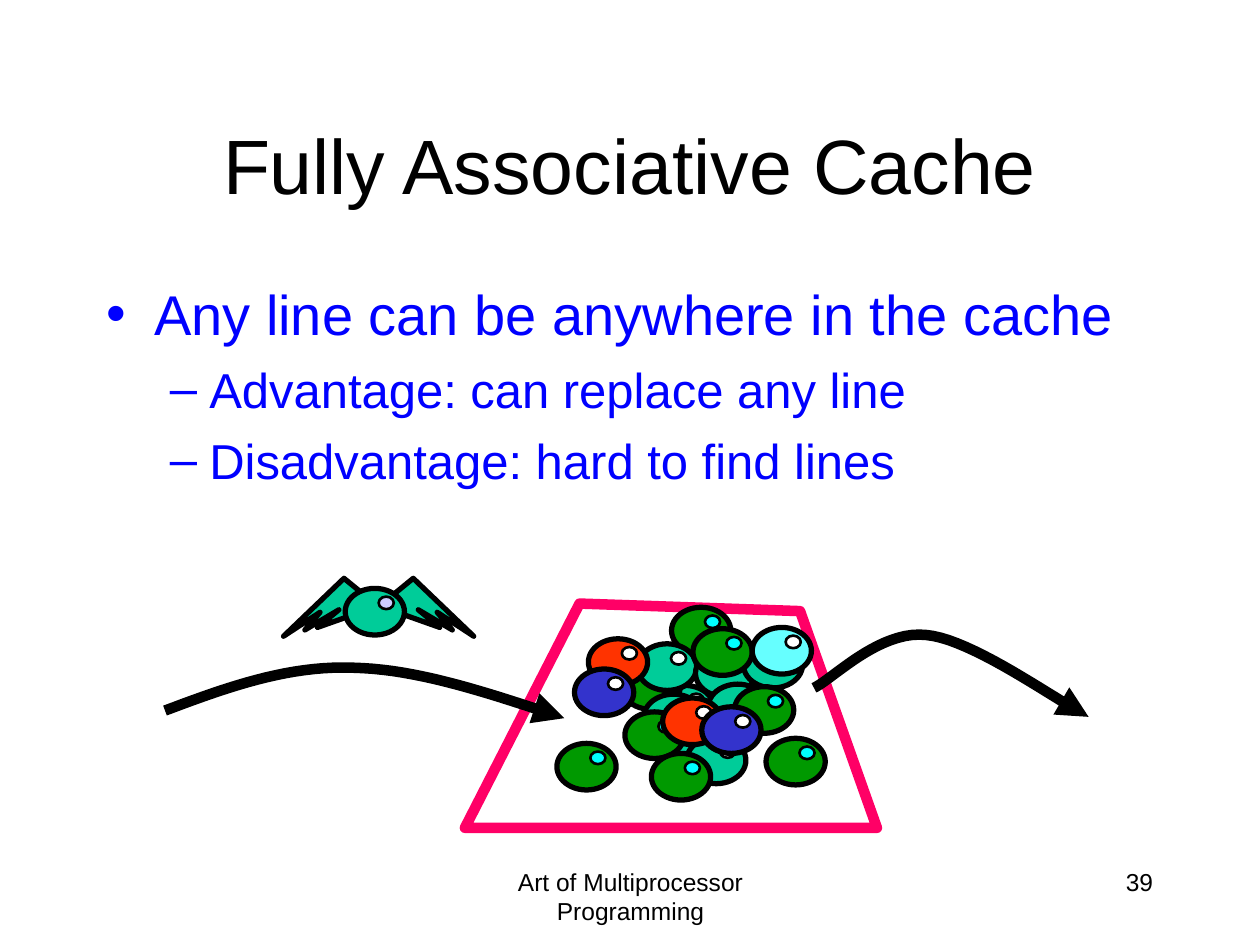
import pptx
import pptx.dml.color
import pptx.enum.shapes
import pptx.enum.text
import pptx.oxml.ns
import pptx.util
from lxml import etree

RGB = pptx.dml.color.RGBColor
BLACK = RGB(0x00, 0x00, 0x00)
WHITE = RGB(0xFF, 0xFF, 0xFF)
BLUE = RGB(0x00, 0x00, 0xFF)
PINK = RGB(0xFF, 0x00, 0x66)
GREEN = RGB(0x00, 0x99, 0x00)
TEAL = RGB(0x00, 0xCC, 0x99)
AQUA = RGB(0x00, 0xFF, 0xFF)
SKY = RGB(0x66, 0xFF, 0xFF)
RED = RGB(0xFF, 0x33, 0x00)
NAVY = RGB(0x33, 0x33, 0xCC)
LILAC = RGB(0xCC, 0xCC, 0xFF)

# The slide is a grid of 100 columns by 75 rows
CELL = 91440
COLS, ROWS = 100, 75
BALL = (4.7, 3.7)
EYE = (2.65, 0.65, 1.2, 1.0)
ALIGN = pptx.enum.text.PP_ALIGN


def grid(*vals):
    return [pptx.util.Emu(round(v * CELL)) for v in vals]


def node(parent, tag, **attrs):
    return etree.SubElement(parent, pptx.oxml.ns.qn("a:" + tag), attrs)


def paint(shape, fill, line, width):
    shape.shadow.inherit = False
    if fill is None:
        shape.fill.background()
    else:
        shape.fill.solid()
        shape.fill.fore_color.rgb = fill
    shape.line.color.rgb = line
    shape.line.width = pptx.util.Pt(width)


def outline(slide, box, points, fill, line, width, close=True):
    left, top = box[:2]
    dots = [grid(left + x, top + y) for x, y in points]
    path = slide.shapes.build_freeform(*dots[0])
    path.add_line_segments(dots[1:], close=close)
    shape = path.convert_to_shape()
    paint(shape, fill, line, width)
    node(shape.line._get_or_add_ln(), "round")
    return shape


def ball(slide, left, top, fill, eye):
    x, y, w, h = EYE
    parts = [((left, top, *BALL), fill, 3),
             ((left + x, top + y, w, h), eye, 1.5)]
    for box, color, width in parts:
        oval = slide.shapes.add_shape(
            pptx.enum.shapes.MSO_SHAPE.OVAL, *grid(*box))
        paint(oval, color, BLACK, width)


def text(slide, box, lines, size, color=BLACK, align=ALIGN.LEFT, middle=False):
    frame = slide.shapes.add_textbox(*grid(*box)).text_frame
    frame.word_wrap = True
    if middle:
        frame.vertical_anchor = pptx.enum.text.MSO_ANCHOR.MIDDLE
    look = {"name": "Arial", "size": pptx.util.Pt(size)}
    for i, line in enumerate(lines):
        para = frame.paragraphs[0] if i == 0 else frame.add_paragraph()
        para.alignment = align
        run = para.add_run()
        run.text = line
        for key, val in look.items():
            setattr(run.font, key, val)
        run.font.color.rgb = color
    return frame


def bullets(slide, box, items):
    # Level: text size, space before, left margin, hang, mark
    levels = [(32, 8, 3.75, 3.75, "•"), (28, 7, 8.13, 3.13, "–")]
    frame = text(slide, box, [line for line, _ in items], 32, BLUE)
    for para, (_, level) in zip(frame.paragraphs, items):
        size, gap, margin, hang, mark = levels[level]
        para.level = level
        para.space_before = pptx.util.Pt(gap)
        para.runs[0].font.size = pptx.util.Pt(size)
        props = para._p.get_or_add_pPr()
        for key, val in {"marL": margin, "indent": -hang}.items():
            props.set(key, str(round(val * CELL)))
        node(node(props, "buClr"), "srgbClr", val=str(BLUE))
        node(props, "buFont", typeface="Arial")
        node(props, "buChar", char=mark)


def cache(slide, box):
    left, top, w, h = box
    frame = [(9.1, 0), (0, h), (w, h), (26.6, 0.6)]
    outline(slide, box, frame, None, PINK, 6)
    # Balls from back to front
    heap = [
        (GREEN, AQUA, [(16.4, 0.3)]),
        (TEAL, WHITE, [(15.1, 6.5)]),
        (GREEN, AQUA, [(12.4, 4.7)]),
        (TEAL, WHITE, [(16.8, 8.2), (14.2, 7.2), (15.9, 8.9), (17.6, 10.6),
                       (13.7, 3.2), (18.3, 3.7), (19.3, 6.4), (22.1, 3)]),
        (GREEN, AQUA, [(18.1, 2), (12.7, 8.6), (21.4, 6.6), (23.9, 10.7),
                       (14.8, 11.9), (7.3, 11.1)]),
        (RED, WHITE, [(15.7, 7.5), (9.8, 2.8)]),
        (SKY, WHITE, [(22.8, 1.9)]),
        (NAVY, WHITE, [(8.7, 5.2), (18.8, 8.2)]),
    ]
    for fill, eye, spots in heap:
        for x, y in spots:
            ball(slide, left + x, top + y, fill, eye)


def bird(slide, box):
    left, top, w, h = box
    wing = [(8.1, 1.8), (10.3, 0), (w, h), (12.2, 2.7),
            (13.4, 4.1), (10.7, 2.5), (12.4, 3.9), (7.6, 2.2)]
    for side in (wing, [(w - x, y) for x, y in wing]):
        outline(slide, box, side, TEAL, BLACK, 3)
    ball(slide, left + 4.9, top + 0.8, TEAL, LILAC)


def bend(a, b, c, d, steps=20):
    """Points along a cubic curve, after its start."""
    for i in range(1, steps + 1):
        t = i / steps
        u = 1 - t
        yield tuple(u**3 * p + 3 * u * u * t * q + 3 * u * t * t * r + t**3 * s
                    for p, q, r, s in zip(a, b, c, d))


def arrow(slide, box, knots):
    points = [knots[0]]
    for i in range(0, len(knots) - 1, 3):
        points += bend(*knots[i:i + 4])
    curve = outline(slide, box, points, None, BLACK, 6, close=False)
    node(curve.line._get_or_add_ln(), "tailEnd", type="triangle")


def main():
    deck = pptx.Presentation()
    deck.slide_width, deck.slide_height = grid(COLS, ROWS)
    slide = deck.slides.add_slide(deck.slide_layouts[6])

    # Footer, number and title
    text(slide, (34.2, 68.3, 31.7, 5), ["Art of Multiprocessor Programming"],
         14, align=ALIGN.CENTER)
    text(slide, (71.7, 68.3, 20.8, 5), ["39"], 14, align=ALIGN.RIGHT)
    text(slide, (7.5, 6.7, 85, 12.5), ["Fully Associative Cache"],
         44, align=ALIGN.CENTER, middle=True)

    bullets(slide, (7.5, 21.7, 85, 45), [
        ("Any line can be anywhere in the cache", 0),
        ("Advantage: can replace any line", 1),
        ("Disadvantage: hard to find lines", 1)])

    # Drawing
    cache(slide, (36.9, 47.9, 32.7, 17.8))
    bird(slide, (22.5, 45.9, 15.1, 4.6))
    arrow(slide, (13.1, 52.8, 31.7, 4.2), [
        (0, 3.6), (4.8, 1.8), (9.7, 0), (14.9, 0.2),
        (20.2, 0.3), (25.9, 2.3), (31.7, 4.2)])
    arrow(slide, (64.6, 50, 21.8, 6.9), [
        (0, 4.6), (1.5, 3.9), (5.2, 0), (8.9, 0.4),
        (12.5, 0.7), (19.1, 5.5), (21.8, 6.9)])

    deck.save("out.pptx")


if __name__ == "__main__":
    main()
